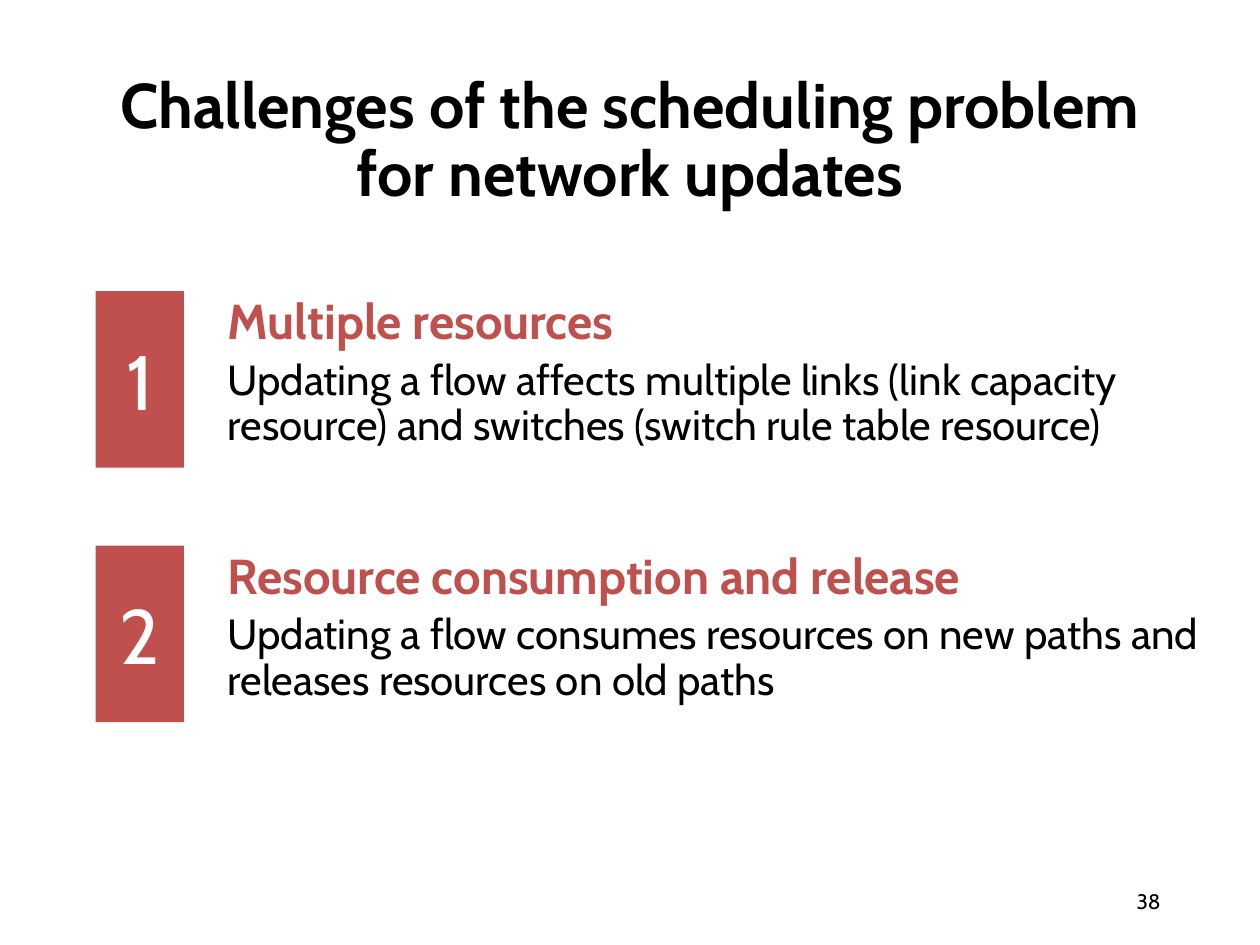
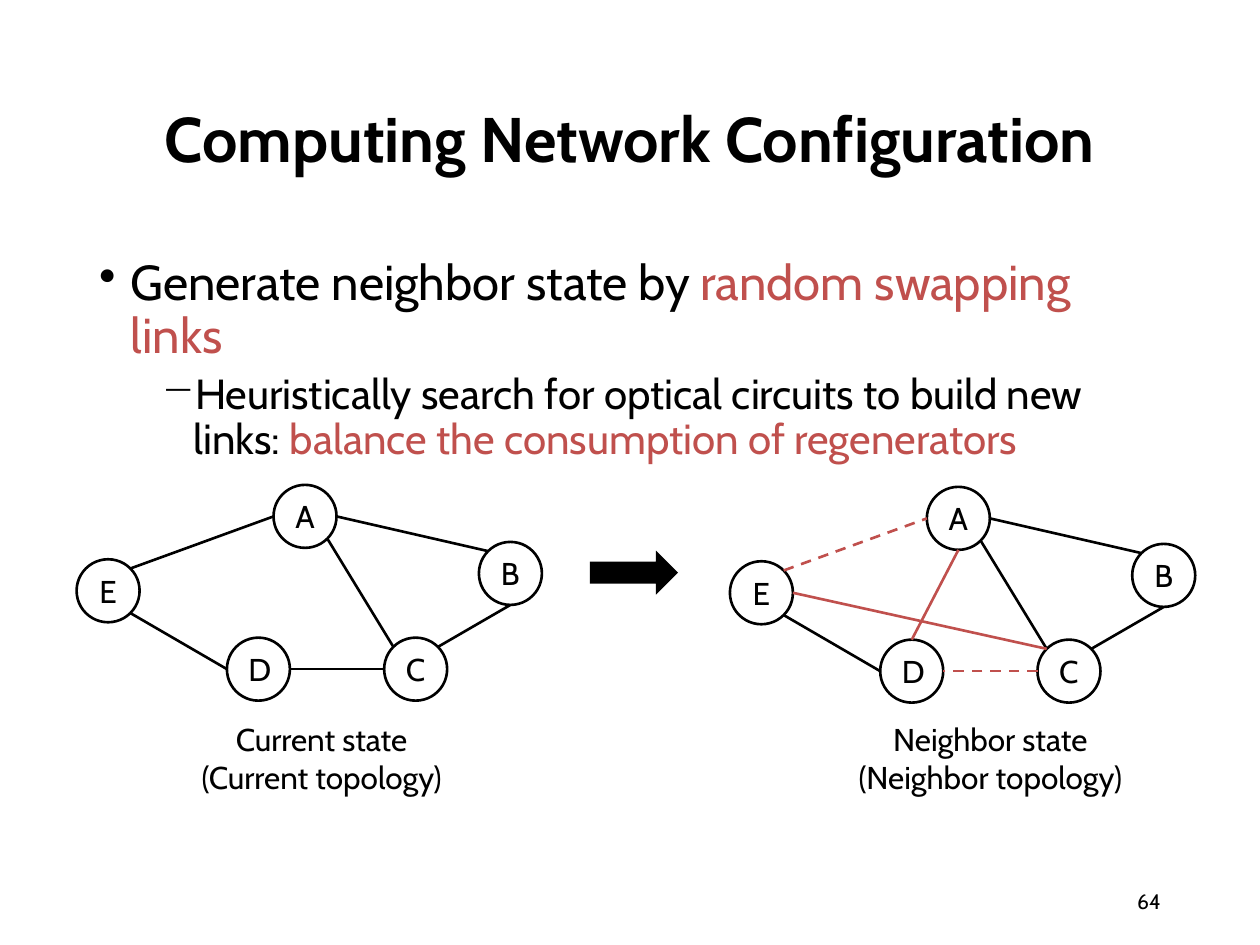
from dataclasses import dataclass
from math import cos, radians, sin

from lxml.etree import SubElement
from pptx import Presentation
from pptx.dml.color import RGBColor
from pptx.enum.dml import MSO_LINE
from pptx.enum.shapes import MSO_CONNECTOR, MSO_SHAPE
from pptx.enum.text import MSO_ANCHOR, PP_ALIGN
from pptx.oxml.ns import qn
from pptx.util import Cm, Pt

FONT = "Cabin"
BLACK, WHITE, RED = "000000", "FFFFFF", "C0504D"
LINE_WIDTH = Pt(1.5)
NODE_SIZE = 1.27  # all lengths are in centimetres


@dataclass(frozen=True)
class Span:
    text: str
    size: float
    color: str = BLACK
    bold: bool = False


@dataclass(frozen=True)
class Para:
    spans: tuple[Span, ...]
    align: PP_ALIGN = PP_ALIGN.LEFT
    spacing: float = 1.0
    before: float = 0
    bullet: str = ""
    margin: float = 0


@dataclass(frozen=True)
class Challenge:
    heading: str
    detail: str
    width: float


@dataclass(frozen=True)
class Link:
    start: str
    start_angle: int
    end: str
    end_angle: int
    color: str = BLACK
    dashed: bool = False


@dataclass(frozen=True)
class Topology:
    left: float
    top: float
    links: tuple[Link, ...]
    caption: tuple[str, str]
    caption_left: float
    caption_width: float


CHALLENGES = (
    Challenge(
        "Multiple resources",
        "Updating a flow affects multiple links (link capacity resource) "
        "and switches (switch rule table resource)",
        18.77,
    ),
    Challenge(
        "Resource consumption and release",
        "Updating a flow consumes resources on new paths and releases "
        "resources on old paths",
        20.47,
    ),
)

# Node centres, measured from the corner of a topology
NODES = {
    "E": (0.63, 2.13),
    "A": (4.6, 0.63),
    "D": (3.66, 3.71),
    "B": (8.74, 1.78),
    "C": (6.83, 3.71),
}

# Angles run clockwise from the right side of a node
KEPT_LINKS = (
    Link("D", 180, "E", 45),
    Link("B", 225, "A", 0),
    Link("A", 45, "C", 225),
    Link("B", 90, "C", 315),
)
TOPOLOGIES = (
    Topology(
        1.55, 9.78,
        KEPT_LINKS + (Link("E", 315, "A", 180), Link("C", 180, "D", 0)),
        ("Current state", "(Current topology)"), 3.78, 5.41,
    ),
    Topology(
        14.72, 9.82,
        KEPT_LINKS + (
            Link("E", 315, "A", 180, RED, True),
            Link("C", 180, "D", 0, RED, True),
            Link("D", 270, "A", 90, RED),
            Link("E", 0, "C", 225, RED),
        ),
        ("Neighbor state", "(Neighbor topology)"), 17.02, 5.89,
    ),
)


def rgb(color: str) -> RGBColor:
    return RGBColor.from_string(color)


def write(shape, paras: list[Para], anchor=MSO_ANCHOR.TOP, wrap: bool = True) -> None:
    frame = shape.text_frame
    frame.word_wrap = wrap
    frame.vertical_anchor = anchor
    for index, para in enumerate(paras):
        paragraph = frame.add_paragraph() if index else frame.paragraphs[0]
        paragraph.alignment = para.align
        paragraph.line_spacing = para.spacing
        paragraph.space_before = Pt(para.before)
        if para.bullet:
            properties = paragraph._p.get_or_add_pPr()
            properties.set("marL", str(Cm(para.margin)))
            properties.set("indent", str(-Cm(0.64)))
            SubElement(properties, qn("a:buChar")).set("char", para.bullet)
        for span in para.spans:
            run = paragraph.add_run()
            run.text = span.text
            run.font.name = FONT
            run.font.size = Pt(span.size)
            run.font.bold = span.bold
            run.font.color.rgb = rgb(span.color)


def add_text(page, left: float, top: float, width: float, height: float,
             paras: list[Para], anchor=MSO_ANCHOR.TOP, wrap: bool = True) -> None:
    box = page.shapes.add_textbox(Cm(left), Cm(top), Cm(width), Cm(height))
    write(box, paras, anchor, wrap)


def add_figure(page, kind, left: float, top: float, width: float, height: float,
               fill: str = "", outline: str = "", label: Span | None = None) -> None:
    shape = page.shapes.add_shape(kind, Cm(left), Cm(top), Cm(width), Cm(height))
    shape.shadow.inherit = False
    if fill:
        shape.fill.solid()
        shape.fill.fore_color.rgb = rgb(fill)
    else:
        shape.fill.background()
    if outline:
        shape.line.color.rgb = rgb(outline)
        shape.line.width = LINE_WIDTH
    else:
        shape.line.fill.background()
    if label:
        write(shape, [Para((label,), PP_ALIGN.CENTER)], MSO_ANCHOR.MIDDLE)


def add_page(deck, title: str, number: int):
    """Add a blank page with the shared title and page number."""
    page = deck.slides.add_slide(deck.slide_layouts[6])
    heading = Para((Span(title, 36, bold=True),), PP_ALIGN.CENTER, 0.9)
    add_text(page, 1.75, 1.02, 21.89, 3.68, [heading], MSO_ANCHOR.MIDDLE)
    footer = Para((Span(str(number), 12),), PP_ALIGN.RIGHT)
    add_text(page, 17.93, 17.65, 5.72, 1.02, [footer], MSO_ANCHOR.MIDDLE)
    return page


def add_challenge(page, number: int, challenge: Challenge) -> None:
    top = 5.87 + (number - 1) * 5.13
    add_figure(page, MSO_SHAPE.RECTANGLE, 1.93, top, 1.78, 3.56, RED,
               label=Span(str(number), 44, WHITE))
    add_text(page, 4.34, top, challenge.width, 3.35, [
        Para((Span(challenge.heading, 28, RED, True),), spacing=0.9),
        Para((Span(challenge.detail, 24),), spacing=0.9, before=5),
    ])


def rim_point(topology: Topology, node: str, angle: int) -> tuple[Cm, Cm]:
    x, y = NODES[node]
    radius = NODE_SIZE / 2
    return (Cm(topology.left + x + radius * cos(radians(angle))),
            Cm(topology.top + y + radius * sin(radians(angle))))


def add_link(page, topology: Topology, link: Link) -> None:
    connector = page.shapes.add_connector(
        MSO_CONNECTOR.STRAIGHT,
        *rim_point(topology, link.start, link.start_angle),
        *rim_point(topology, link.end, link.end_angle),
    )
    connector.line.color.rgb = rgb(link.color)
    connector.line.width = LINE_WIDTH
    if link.dashed:
        connector.line.dash_style = MSO_LINE.DASH
    SubElement(connector._element.spPr, qn("a:effectLst"))


def add_topology(page, topology: Topology) -> None:
    for name, (x, y) in NODES.items():
        add_figure(page, MSO_SHAPE.OVAL,
                   topology.left + x - NODE_SIZE / 2, topology.top + y - NODE_SIZE / 2,
                   NODE_SIZE, NODE_SIZE, outline=BLACK, label=Span(name, 18))
    for link in topology.links:
        add_link(page, topology, link)
    caption = [Para((Span(line, 18),), PP_ALIGN.CENTER) for line in topology.caption]
    add_text(page, topology.caption_left, 14.4, topology.caption_width, 1.8,
             caption, wrap=False)


def build_challenges(deck) -> None:
    page = add_page(deck, "Challenges of the scheduling problem for network updates", 38)
    for number, challenge in enumerate(CHALLENGES, start=1):
        add_challenge(page, number, challenge)


def build_configuration(deck) -> None:
    page = add_page(deck, "Computing Network Configuration", 64)
    add_text(page, 1.75, 5.08, 21.89, 13.51, [
        Para((Span("Generate neighbor state by ", 28),
              Span("random swapping links", 28, RED)),
             spacing=0.9, bullet="•", margin=0.64),
        Para((Span("Heuristically search for optical circuits to build new links: ", 24),
              Span("balance the consumption of regenerators", 24, RED)),
             spacing=0.9, before=5, bullet="−", margin=1.9),
    ])
    for topology in TOPOLOGIES:
        add_topology(page, topology)
    # Arrow from the current to the neighbor state
    add_figure(page, MSO_SHAPE.RIGHT_ARROW, 11.89, 11.1, 1.78, 0.89, BLACK)


def main() -> None:
    deck = Presentation()
    deck.slide_width, deck.slide_height = Cm(25.4), Cm(19.05)
    build_challenges(deck)
    build_configuration(deck)
    deck.save("out.pptx")


if __name__ == "__main__":
    main()
